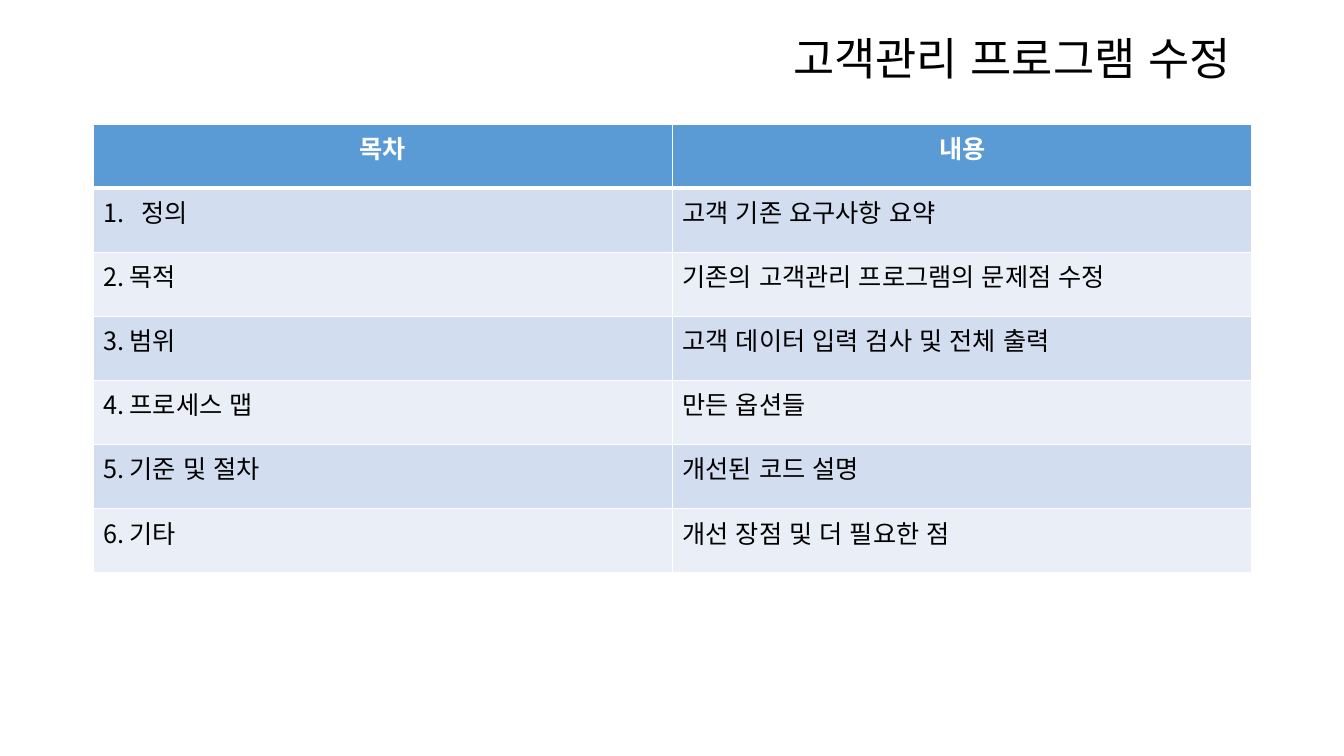
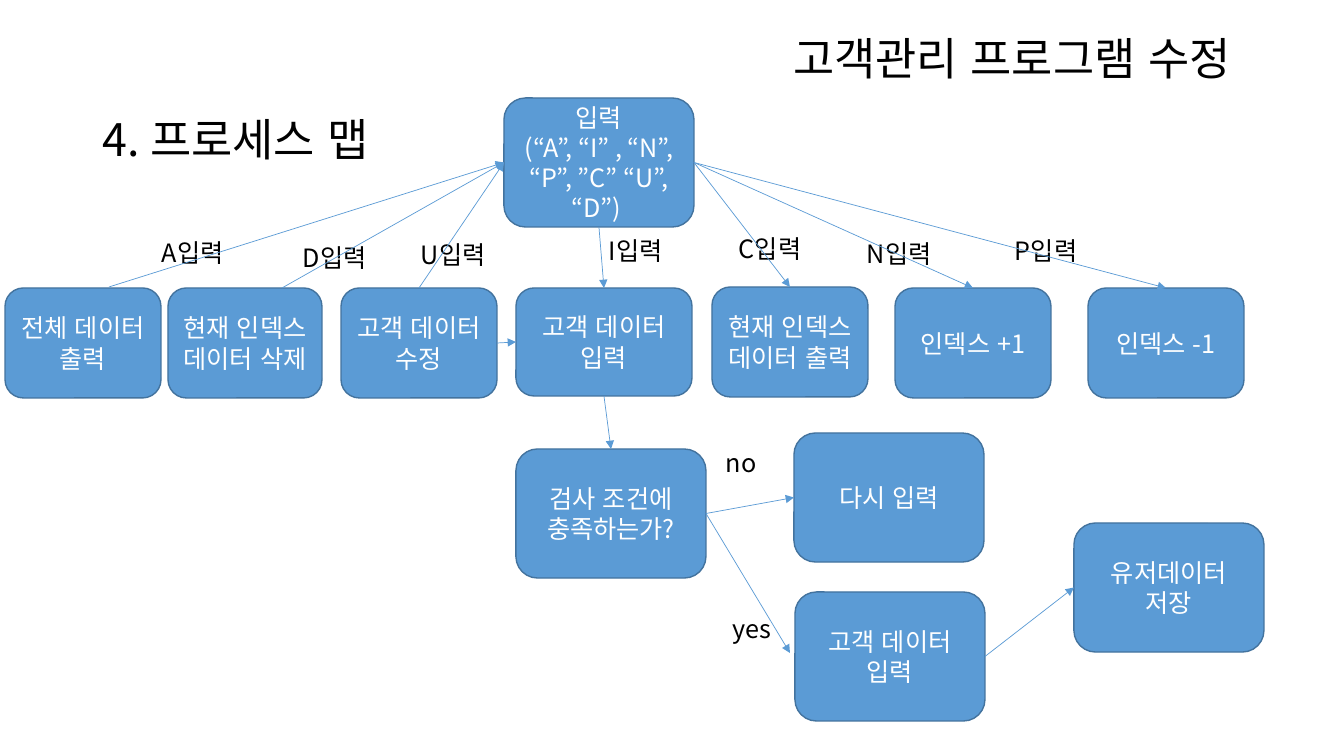
from dataclasses import dataclass
from enum import IntEnum
from typing import NamedTuple

from lxml import etree
from pptx import Presentation, util as u
from pptx.dml.color import RGBColor
from pptx.enum import lang, shapes, text
from pptx.oxml import ns

PIXELS_PER_INCH = 100.8
WHITE = RGBColor(0xFF, 0xFF, 0xFF)
BLACK = RGBColor(0x00, 0x00, 0x00)
BLUE = RGBColor(0x5B, 0x9B, 0xD5)
OUTLINE = RGBColor(0x43, 0x73, 0x9E)
ROW_FILLS = (RGBColor(0xD2, 0xDE, 0xEF), RGBColor(0xEA, 0xEF, 0xF7))
FONT = "Noto Sans CJK KR"
TITLE = "고객관리 프로그램 수정"
LEFT, CENTER, RIGHT = text.PP_ALIGN.LEFT, text.PP_ALIGN.CENTER, text.PP_ALIGN.RIGHT
TITLE_FORMAT = {"line_spacing": 0.9}


class Area(NamedTuple):
    left: int
    top: int
    width: int
    height: int


class Point(NamedTuple):
    x: int
    y: int


class Side(IntEnum):
    TOP = 0
    LEFT = 1
    BOTTOM = 2
    RIGHT = 3


class Joint(NamedTuple):
    step: str
    side: Side


@dataclass(frozen=True)
class Step:
    name: str
    area: Area
    lines: tuple[str, ...]


@dataclass(frozen=True)
class Label:
    left: int
    top: int
    words: str
    width: int = 93


@dataclass(frozen=True)
class Arrow:
    start: Joint | Point
    end: Joint | Point


def px(length: float) -> int:
    return u.Inches(length / PIXELS_PER_INCH)


def apply(target, values: dict) -> None:
    for name, value in values.items():
        setattr(target, name, value)


def add_xml(parent, tag: str, **attributes: str):
    return etree.SubElement(parent, ns.qn(tag), attributes)


def write(frame, lines, size=18, color=BLACK, bold=False, **paragraph_format) -> None:
    frame.word_wrap = True
    for index, line in enumerate(lines):
        paragraph = frame.paragraphs[0] if index == 0 else frame.add_paragraph()
        apply(paragraph, paragraph_format)
        run = paragraph.add_run()
        run.text = line
        apply(run.font, {"name": FONT, "size": u.Pt(size), "bold": bold,
                         "language_id": lang.MSO_LANGUAGE_ID.KOREAN})
        run.font.color.rgb = color
        add_xml(run.font._element, "a:ea", typeface=FONT)


def add_text(slide, area: Area, words: str, anchor=text.MSO_ANCHOR.TOP, **style) -> None:
    frame = slide.shapes.add_textbox(*map(px, area)).text_frame
    frame.vertical_anchor = anchor
    write(frame, (words,), **style)


def add_title(slide, area: Area, words: str, alignment) -> None:
    add_text(slide, area, words, text.MSO_ANCHOR.MIDDLE, size=32, alignment=alignment,
             **TITLE_FORMAT)


def new_slide(presentation):
    slide = presentation.slides.add_slide(presentation.slide_layouts[6])
    add_title(slide, Area(517, 35, 724, 52), TITLE, RIGHT)
    return slide


def add_borders(cell, **widths: float) -> None:
    properties = cell._tc.get_or_add_tcPr()
    for side in "LRTB":
        line = add_xml(properties, f"a:ln{side}", w=str(u.Pt(widths.get(side, 1))))
        add_xml(add_xml(line, "a:solidFill"), "a:srgbClr", val=str(WHITE))


def number_paragraph(paragraph) -> None:
    indent = px(38)
    properties = paragraph._p.get_or_add_pPr()
    properties.set("marL", str(indent))
    properties.set("indent", str(-indent))
    add_xml(properties, "a:buFont", typeface="+mj-lt")
    add_xml(properties, "a:buAutoNum", type="arabicPeriod")


def add_contents(slide, area: Area, rows) -> None:
    table = slide.shapes.add_table(len(rows), len(rows[0]), *map(px, area)).table
    for row_index, row in enumerate(rows):
        header = row_index == 0
        for column_index, words in enumerate(row):
            cell = table.cell(row_index, column_index)
            add_borders(cell, T=3 if row_index == 1 else 1, B=3 if header else 1)
            cell.fill.solid()
            cell.fill.fore_color.rgb = BLUE if header else ROW_FILLS[(row_index - 1) % 2]
            write(cell.text_frame, (words,), color=WHITE if header else BLACK,
                  bold=header, alignment=CENTER if header else LEFT)
    number_paragraph(table.cell(1, 0).text_frame.paragraphs[0])


def add_step(slide, step: Step):
    shape = slide.shapes.add_shape(shapes.MSO_SHAPE.ROUNDED_RECTANGLE, *map(px, step.area))
    shape.shadow.inherit = False
    shape.fill.solid()
    shape.fill.fore_color.rgb = BLUE
    shape.line.color.rgb = OUTLINE
    shape.line.width = u.Pt(1)
    shape.text_frame.vertical_anchor = text.MSO_ANCHOR.MIDDLE
    write(shape.text_frame, step.lines, color=WHITE, alignment=CENTER)
    return shape


def add_arrow(slide, arrow: Arrow, boxes: dict) -> None:
    ends = [px(value) for end in (arrow.start, arrow.end)
            for value in (end if isinstance(end, Point) else (0, 0))]
    connector = slide.shapes.add_connector(shapes.MSO_CONNECTOR.STRAIGHT, *ends)
    for end, connect in ((arrow.start, connector.begin_connect),
                         (arrow.end, connector.end_connect)):
        if isinstance(end, Joint):
            connect(boxes[end.step], int(end.side))
    connector.line.color.rgb = BLUE
    connector.line.width = u.Pt(0.5)
    add_xml(connector.line._get_or_add_ln(), "a:tailEnd", type="triangle")
    add_xml(connector._element.spPr, "a:effectLst")


CONTENTS = (
    ("목차", "내용"),
    ("정의", "고객 기존 요구사항 요약"),
    ("2. 목적", "기존의 고객관리 프로그램의 문제점 수정"),
    ("3. 범위", "고객 데이터 입력 검사 및 전체 출력"),
    ("4. 프로세스 맵", "만든 옵션들"),
    ("5. 기준 및 절차", "개선된 코드 설명"),
    ("6. 기타", "개선 장점 및 더 필요한 점"),
)

STEPS = (
    Step("menu", Area(504, 98, 190, 129),
         ("입력", "(“A”, “I” , “N”, “P”, ”C” “U”, “D”) ")),
    Step("insert", Area(516, 288, 176, 108), ("고객 데이터 입력",)),
    Step("retry", Area(794, 433, 190, 129), ("다시 입력",)),
    Step("save", Area(1074, 523, 190, 129), ("유저데이터 저장",)),
    Step("check", Area(516, 449, 190, 129), ("검사 조건에 충족하는가?",)),
    Step("accept", Area(795, 592, 190, 129), ("고객 데이터 입력",)),
    Step("update", Area(341, 288, 156, 110), ("고객 데이터 수정",)),
    Step("delete", Area(168, 288, 154, 110), ("현재 인덱스 데이터 삭제",)),
    Step("all", Area(5, 288, 156, 110), ("전체 데이터 출력",)),
    Step("next", Area(895, 288, 156, 110), ("인덱스 +1",)),
    Step("current", Area(712, 287, 156, 110), ("현재 인덱스 데이터 출력",)),
    Step("previous", Area(1088, 288, 156, 110), ("인덱스 -1",)),
)

LABELS = (
    Label(716, 442, "no", 69),
    Label(723, 608, "yes", 69),
    Label(599, 230, "I입력"),
    Label(729, 228, "C입력"),
    Label(857, 233, "N입력"),
    Label(411, 234, "U입력"),
    Label(293, 237, "D입력"),
    Label(152, 232, "A입력"),
    Label(1005, 230, "P입력"),
)

MENU_IN = Joint("menu", Side.LEFT)
MENU_OUT = Joint("menu", Side.RIGHT)
CHECK_OUT = Joint("check", Side.RIGHT)
ARROWS = (
    Arrow(Point(109, 287), MENU_IN),
    Arrow(Point(282, 288), MENU_IN),
    Arrow(Joint("update", Side.TOP), MENU_IN),
    Arrow(Joint("menu", Side.BOTTOM), Joint("insert", Side.TOP)),
    *(Arrow(MENU_OUT, Joint(name, Side.TOP)) for name in ("current", "next", "previous")),
    Arrow(CHECK_OUT, Joint("retry", Side.LEFT)),
    Arrow(CHECK_OUT, Point(790, 653)),
    Arrow(Joint("insert", Side.BOTTOM), Joint("check", Side.TOP)),
    Arrow(Joint("update", Side.RIGHT), Joint("insert", Side.LEFT)),
    Arrow(Joint("accept", Side.RIGHT), Joint("save", Side.LEFT)),
)


def build_contents(presentation) -> None:
    add_contents(new_slide(presentation), Area(93, 124, 1159, 449), CONTENTS)


def build_process_map(presentation) -> None:
    slide = new_slide(presentation)
    add_title(slide, Area(93, 98, 520, 88), "4. 프로세스 맵", LEFT)
    boxes = {step.name: add_step(slide, step) for step in STEPS}
    for label in LABELS:
        add_text(slide, Area(label.left, label.top, label.width, 40), label.words)
    for arrow in ARROWS:
        add_arrow(slide, arrow, boxes)


def main() -> None:
    presentation = Presentation()
    apply(presentation, {"slide_width": px(1344), "slide_height": px(756)})
    build_contents(presentation)
    build_process_map(presentation)
    presentation.save("out.pptx")


main()
